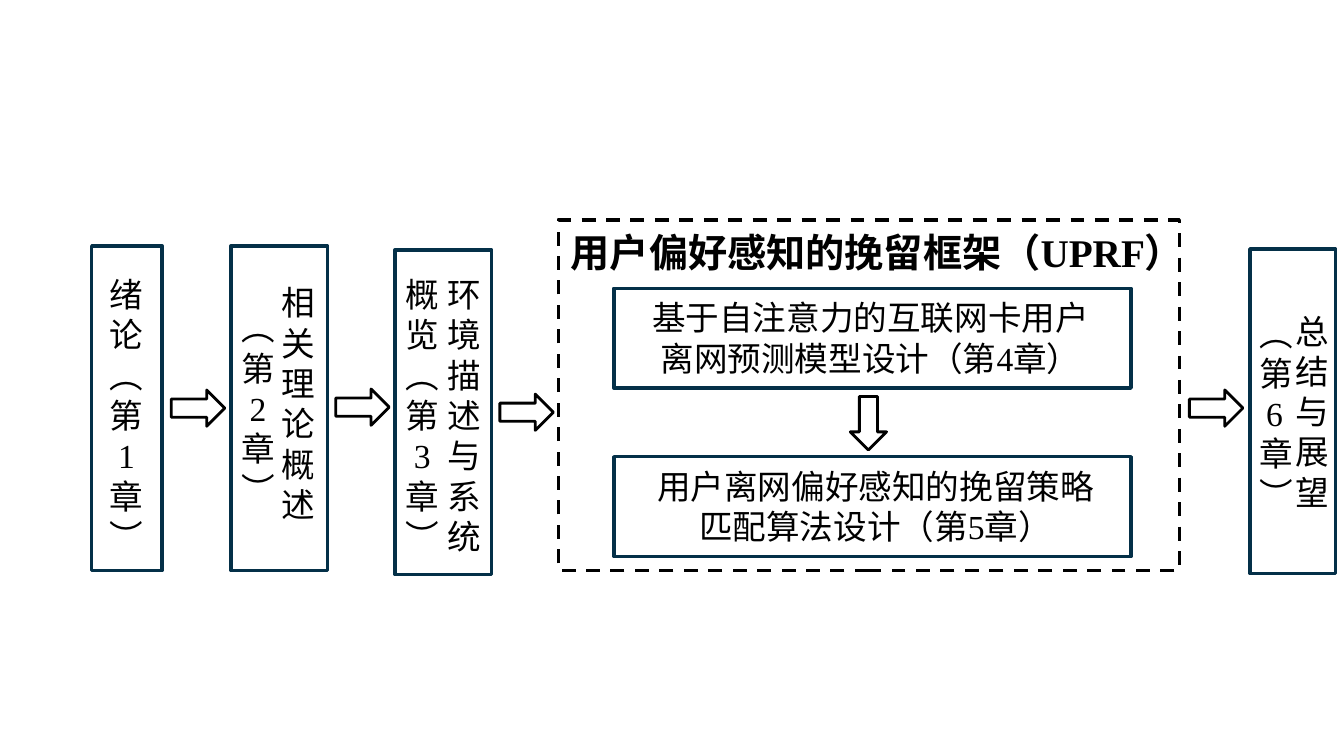
from pptx import Presentation
from pptx import util as u
from pptx.dml.color import RGBColor
from pptx.enum import dml, shapes, text

Pt = u.Pt
COLORS = {"navy": "043048", "black": "000000"}
RECT = shapes.MSO_SHAPE.RECTANGLE
ARROW = shapes.MSO_SHAPE.RIGHT_ARROW
CENTER, LEFT = text.PP_ALIGN.CENTER, text.PP_ALIGN.LEFT


class Flow:
    font_name = "Times New Roman"
    font_size = 24
    arrow_size = (38.2, 25.9)

    def __init__(self, page):
        self.page = page

    def outline(self, kind, left, top, width, height, color="navy", weight=2.5):
        box = self.page.shapes.add_shape(kind, Pt(left), Pt(top), Pt(width), Pt(height))
        box.shadow.inherit = False
        box.fill.background()
        box.line.color.rgb = RGBColor.from_string(COLORS[color])
        box.line.width = Pt(weight)
        return box

    def arrow(self, left, top, rotation=0):
        arrow = self.outline(ARROW, left, top, *self.arrow_size, "black", 2)
        arrow.rotation = rotation

    def label(self, lines, left, top, width, height, size=font_size, bold=False, align=CENTER):
        box = self.page.shapes.add_textbox(Pt(left), Pt(top), Pt(width), Pt(height))
        frame = box.text_frame
        frame.word_wrap = True
        frame.text = "\n".join(lines)
        for para in frame.paragraphs:
            para.alignment = align
            para.font.name = self.font_name
            para.font.size = Pt(size)
            para.font.bold = bold
            para.font.color.rgb = RGBColor.from_string(COLORS["black"])


deck = Presentation()
deck.slide_width, deck.slide_height = Pt(960), Pt(540)
flow = Flow(deck.slides.add_slide(deck.slide_layouts[6]))

# Chapter boxes
for left, top, width in [(65.5, 175.7, 50.4), (164.9, 175.7, 69.1),
                         (282.2, 178.6, 69.1), (892.8, 177.8, 61.2)]:
    flow.outline(RECT, left, top, width, 231.8)

# Chapter names, one character to a line
flow.label("绪论︵第1章︶", 64.8, 192.2, 51.1, 193)
flow.label("相关理论概述", 190.1, 198, 46.1, 192.2)
flow.label("︵第2章︶", 160.6, 216, 47.5, 139.7)
flow.label(["环境描述与系统"], 308.9, 192.2, 46.1, 211)
flow.label(["概览︵", *"第3章︶"], 277.9, 192.2, 47.5, 211)
flow.label(["总结与展望"], 918, 218.2, 25.2, 139.7, align=LEFT)
flow.label("︵第6章︶", 892.8, 219.6, 35.3, 152.6)

# Retention framework
frame = flow.outline(RECT, 398.9, 157, 443.5, 250.6, "black")
frame.line.dash_style = dml.MSO_LINE.DASH
flow.label(["用户偏好感知的挽留框架（UPRF）"], 360, 159.8, 533.5, 41, size=28, bold=True)
for top in (205.9, 326.2):
    flow.outline(RECT, 438.5, top, 369.4, 71.3)
flow.label(["基于自注意力的互联网卡用户", "离网预测模型设计（第4章）"], 440, 208.8, 363.6, 94.3)
flow.label(["用户离网偏好感知的挽留策略匹配算法设计（第5章）"], 459.4, 329, 331.9, 94.3)

# Arrows between the steps
for left, top in [(122.4, 278.6), (239.8, 277.9), (357.1, 281.5), (849.6, 278.6)]:
    flow.arrow(left, top)
flow.arrow(601.2, 289.4, rotation=90)

deck.save("out.pptx")
